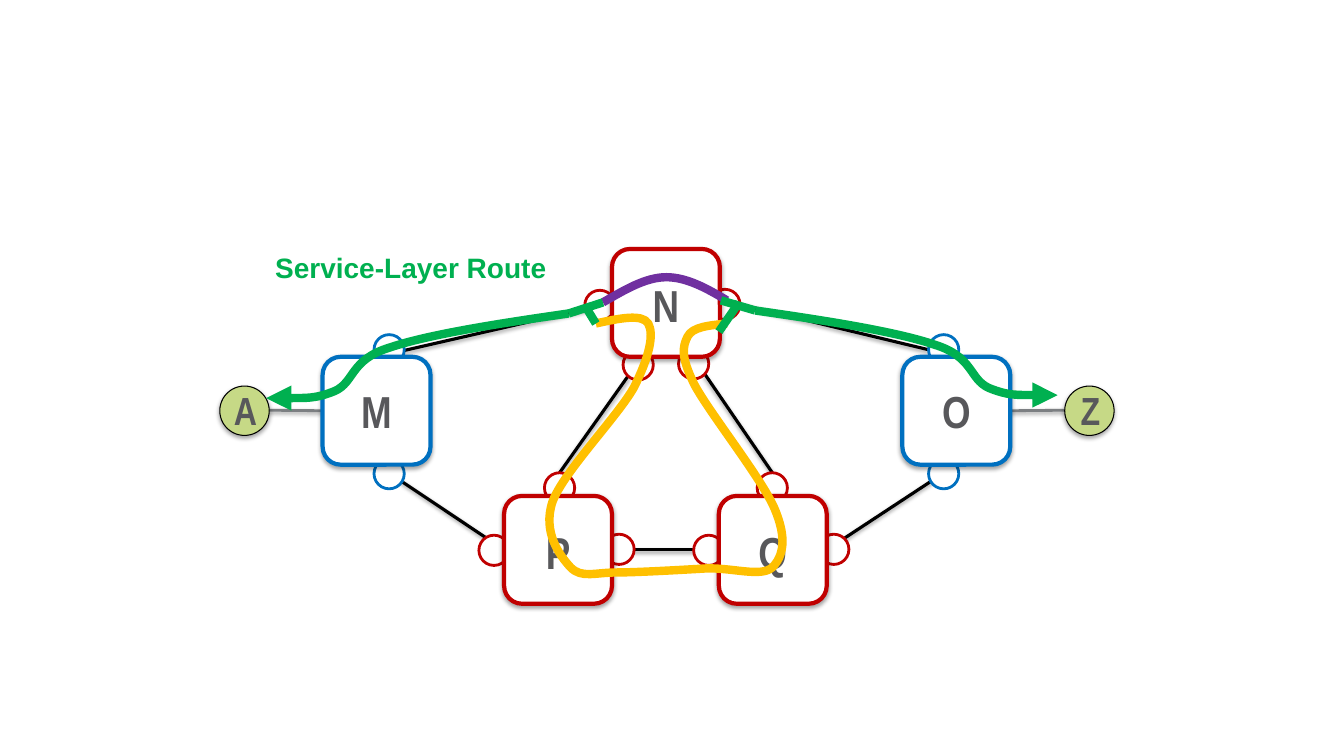
from typing import NamedTuple, Optional

import lxml.etree
import pptx
import pptx.dml.color
import pptx.enum.shapes
import pptx.enum.text
import pptx.oxml.ns
import pptx.shapes.autoshape
import pptx.shapes.connector
import pptx.util

Inches, Pt = pptx.util.Inches, pptx.util.Pt
RGBColor = pptx.dml.color.RGBColor
MSO_SHAPE = pptx.enum.shapes.MSO_SHAPE
qn = pptx.oxml.ns.qn

BLACK = RGBColor(0x00, 0x00, 0x00)
WHITE = RGBColor(0xFF, 0xFF, 0xFF)
GRAY = RGBColor(0x7C, 0x7F, 0x82)
LETTER_GRAY = RGBColor(0x58, 0x58, 0x5B)
LIME = RGBColor(0xC6, 0xD9, 0x86)
RED = RGBColor(0xC0, 0x00, 0x00)
BLUE = RGBColor(0x00, 0x70, 0xC0)
GREEN = RGBColor(0x00, 0xB0, 0x50)
YELLOW = RGBColor(0xFF, 0xC0, 0x00)
PURPLE = RGBColor(0x70, 0x30, 0xA0)

NODE_SIZE, PORT_SIZE, TERMINAL_SIZE = 1.07, 0.3, 0.49
TOP, LEFT, BOTTOM, RIGHT = range(4)
ROUTE_WIDTH = 6

NODE_FONT = {"name": "Arial Narrow", "size": Pt(32), "bold": True}
TERMINAL_FONT = NODE_FONT | {"size": Pt(28)}
LABEL_FONT = {"name": "Arial", "size": Pt(20), "bold": True}

Point = tuple[float, float]


class Node(NamedTuple):
    name: str
    left: float
    top: float
    color: RGBColor
    letter_top: float


class Terminal(NamedTuple):
    name: str
    left: float
    letter_left: float


class Link(NamedTuple):
    start: Point
    end: Point
    start_joint: Optional[tuple[str, int]] = None
    end_joint: Optional[tuple[str, int]] = None
    color: RGBColor = BLACK
    width: float = 2.25


class Route(NamedTuple):
    color: RGBColor
    points: list[Point]
    arrow: bool = False


NODES = [
    Node("M", 3.2, 3.54, BLUE, 3.75), Node("O", 8.95, 3.54, BLUE, 3.75),
    Node("N", 6.07, 2.47, RED, 2.7),
    Node("P", 5, 4.92, RED, 5.15), Node("Q", 7.13, 4.92, RED, 5.15),
]
TERMINALS = [Terminal("A", 2.18, 2.17), Terminal("Z", 10.56, 10.55)]
LINKS = [
    Link((6.07, 3.01), (3.74, 3.54), ("N", LEFT), ("M", TOP)),
    Link((10.02, 4.07), (10.56, 4.07), ("O", RIGHT), None, GRAY, 2),
    Link((2.67, 4.07), (3.2, 4.07), None, ("M", LEFT), GRAY, 2),
    Link((5, 5.47), (3.74, 4.6), ("P", LEFT), ("M", BOTTOM)),
    Link((9.49, 4.61), (8.2, 5.46), ("O", BOTTOM), ("Q", RIGHT)),
    Link((7.13, 5.46), (6.07, 5.46), ("Q", LEFT), ("P", RIGHT)),
    Link((7.34, 3.02), (9.21, 3.47)),
    Link((7.66, 4.69), (6.99, 3.71)),
    Link((6.23, 3.73), (5.55, 4.69)),
]
PORTS = {
    BLUE: [(left, top) for left in (3.71, 9.21) for top in (3.32, 4.55)],
    RED: [(5.8, 2.88), (7.04, 2.87), (6.18, 3.47), (6.73, 3.46), (4.75, 5.31),
          (5.99, 5.3), (6.88, 5.31), (8.12, 5.3), (5.4, 4.69), (7.51, 4.69)],
}

# Each route is a start point followed by groups of two control points and an end
ROUTE_TO_A = [(5.64, 3.11), (4.94, 3.21), (4.24, 3.32), (3.86, 3.45),
              (3.47, 3.57), (3.52, 3.79), (3.32, 3.88),
              (3.12, 3.96), (2.88, 3.95), (2.64, 3.95)]
ROUTE_TO_Z = [(13.13 - x, y - 0.03) for x, y in ROUTE_TO_A]
DETOUR = [(5.91, 3.21), (6.14, 3.16), (6.37, 3.11), (6.43, 3.21),
          (6.49, 3.32), (6.44, 3.54), (6.29, 3.84),
          (6.13, 4.13), (5.59, 4.68), (5.48, 4.98),
          (5.38, 5.28), (5.55, 5.51), (5.66, 5.63),
          (5.77, 5.74), (5.9, 5.68), (6.12, 5.68),
          (6.35, 5.68), (7, 5.64), (7, 5.64),
          (7.26, 5.63), (7.55, 5.73), (7.66, 5.63),
          (7.77, 5.52), (7.81, 5.34), (7.68, 5.04),
          (7.55, 4.74), (7.04, 4.1), (6.89, 3.82),
          (6.75, 3.54), (6.77, 3.44), (6.82, 3.34),
          (6.87, 3.24), (7.04, 3.23), (7.21, 3.21)]
BYPASS = [(5.98, 3), (6.19, 2.88), (6.4, 2.75), (6.61, 2.75),
          (6.81, 2.75), (7.01, 2.86), (7.21, 2.98)]
ROUTES = [Route(YELLOW, DETOUR), Route(PURPLE, BYPASS),
          Route(GREEN, ROUTE_TO_A, True), Route(GREEN, ROUTE_TO_Z, True)]
ROUTE_ENDS = [
    Link(start, end, color=GREEN, width=ROUTE_WIDTH) for start, end in [
        ((5.64, 3.11), (5.98, 3)), ((5.8, 3.03), (5.91, 3.21)),
        ((7.49, 3.08), (7.15, 2.98)), ((7.33, 3), (7.13, 3.29))]
]

deck = pptx.Presentation()
deck.slide_width, deck.slide_height = Inches(13.33), Inches(7.5)
slide = deck.slides.add_slide(deck.slide_layouts[6])
shapes = slide.shapes


def add_shadow(properties: lxml.etree._Element, opacity: int, distance: float) -> None:
    effects = properties.find(qn("a:effectLst"))
    shadow = lxml.etree.SubElement(
        effects, qn("a:outerShdw"), blurRad=str(Pt(3.1)), dist=str(Pt(distance)),
        dir="5400000", algn="t", rotWithShape="0")
    color = lxml.etree.SubElement(shadow, qn("a:srgbClr"), val=str(BLACK))
    lxml.etree.SubElement(color, qn("a:alpha"), val=str(opacity * 1000))


def draw_link(link: Link, shadow: bool = True) -> pptx.shapes.connector.Connector:
    line = shapes.add_connector(pptx.enum.shapes.MSO_CONNECTOR.STRAIGHT,
                                *map(Inches, link.start + link.end))
    line.line.color.rgb = link.color
    line.line.width = Pt(link.width)
    properties = line._element.spPr
    lxml.etree.SubElement(properties, qn("a:effectLst"))
    if shadow:
        add_shadow(properties, 38, 1.6)
    return line


def draw_box(kind: MSO_SHAPE, corner: Point, size: float, fill: RGBColor, outline: RGBColor,
             width: float, shadow: bool = True) -> pptx.shapes.autoshape.Shape:
    box = shapes.add_shape(kind, *map(Inches, (*corner, size, size)))
    box.shadow.inherit = False
    box.fill.solid()
    box.fill.fore_color.rgb = fill
    box.line.color.rgb = outline
    box.line.width = Pt(width)
    if shadow:
        add_shadow(box._element.spPr, 35, 1.8)
    return box


def draw_text(text: str, place: tuple[float, ...], font: dict, color: RGBColor,
              centered: bool = True) -> None:
    frame = shapes.add_textbox(*map(Inches, place)).text_frame
    frame.word_wrap = True
    frame.auto_size = pptx.enum.text.MSO_AUTO_SIZE.SHAPE_TO_FIT_TEXT
    paragraph = frame.paragraphs[0]
    if centered:
        frame.vertical_anchor = pptx.enum.text.MSO_ANCHOR.MIDDLE
        paragraph.alignment = pptx.enum.text.PP_ALIGN.CENTER
    run = paragraph.add_run()
    run.text = text
    for attribute, value in font.items():
        setattr(run.font, attribute, value)
    run.font.color.rgb = color


def draw_route(route: Route) -> None:
    start, *others = [(Inches(x), Inches(y)) for x, y in route.points]
    builder = shapes.build_freeform(*start)
    builder.add_line_segments(others, close=False)
    curve = builder.convert_to_shape()
    curve.shadow.inherit = False
    curve.fill.background()
    curve.line.color.rgb = route.color
    curve.line.width = Pt(ROUTE_WIDTH)
    # Turn every three segments into one cubic Bézier
    segments = list(curve._element.iter(qn("a:lnTo")))
    for first in range(0, len(segments), 3):
        bezier = lxml.etree.Element(qn("a:cubicBezTo"))
        segments[first].addprevious(bezier)
        for segment in segments[first:first + 3]:
            bezier.append(segment[0])
            segment.getparent().remove(segment)
    if route.arrow:
        stroke = curve._element.spPr.find(qn("a:ln"))
        lxml.etree.SubElement(stroke, qn("a:tailEnd"), type="triangle")


# Links, terminals and ports behind the nodes
link_lines = [draw_link(link) for link in LINKS]
for terminal in TERMINALS:
    draw_box(MSO_SHAPE.OVAL, (terminal.left, 3.83), TERMINAL_SIZE, LIME, BLACK, 0.75)
    draw_text(terminal.name, (terminal.letter_left, 3.78, 0.53, 0.57), TERMINAL_FONT, LETTER_GRAY)
for port_color, corners in PORTS.items():
    for corner in corners:
        draw_box(MSO_SHAPE.OVAL, corner, PORT_SIZE, WHITE, port_color, 2, shadow=False)

# Nodes with their letters
node_boxes = {}
for node in NODES:
    node_boxes[node.name] = draw_box(MSO_SHAPE.ROUNDED_RECTANGLE, (node.left, node.top),
                                     NODE_SIZE, WHITE, node.color, 3)
    draw_text(node.name, (node.left, node.letter_top, NODE_SIZE, 0.64), NODE_FONT, LETTER_GRAY)
for link, line in zip(LINKS, link_lines):
    for joint, connect in ((link.start_joint, line.begin_connect), (link.end_joint, line.end_connect)):
        if joint:
            connect(node_boxes[joint[0]], joint[1])

# Routes on top
for route in ROUTES:
    draw_route(route)
for route_end in ROUTE_ENDS:
    draw_link(route_end, shadow=False)
draw_text("Service-Layer Route", (2.63, 2.44, 3.29, 0.44), LABEL_FONT, GREEN, centered=False)

deck.save("out.pptx")
